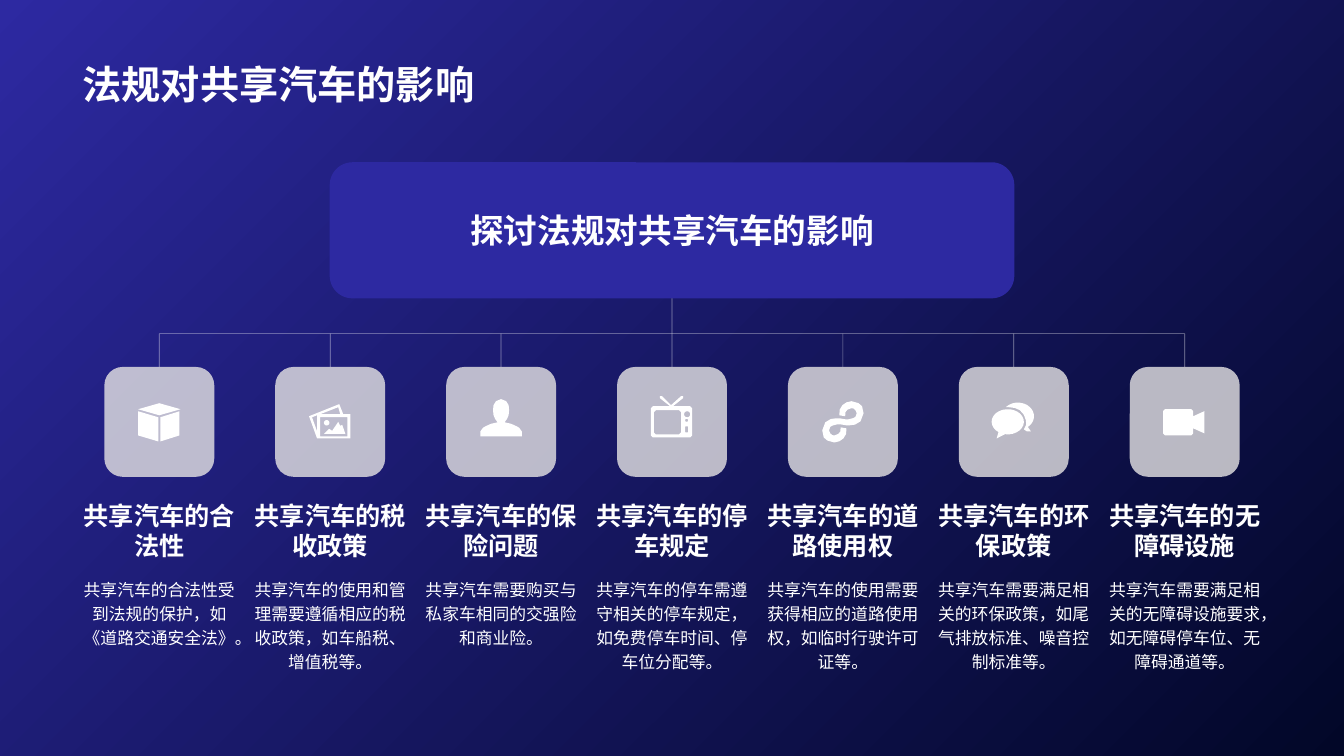
import math

import lxml.etree
import pptx
import pptx.dml.color
import pptx.enum.shapes
import pptx.enum.text
import pptx.oxml.ns
import pptx.util


def arc(x, y, radius_x, radius_y, start=0, end=360):
    """Points along an ellipse, clockwise, with angles in degrees."""
    angles = [math.radians(start + (end - start) * i / 24) for i in range(25)]
    return [(x + radius_x * math.cos(a), y + radius_y * math.sin(a)) for a in angles]


def box(left, top, right, bottom, cut=0):
    """Rectangle with its corners cut off."""
    return [(left + cut, top), (right - cut, top), (right, top + cut), (right, bottom - cut),
            (right - cut, bottom), (left + cut, bottom), (left, bottom - cut), (left, top + cut)]


TITLE = "法规对共享汽车的影响"
TOPIC = "探讨法规对共享汽车的影响"

# Icon outlines are in hundredths of an inch from the middle of the tile.
PARCEL = [
    [(20, -10.5), (20, 13.5), (1, 19.5), (1, -4.5)],
    [(-21, -10.5), (-1, -4.5), (-1, 19.5), (-21, 13.5)],
    [(0, -18.5), (21, -12.5), (0, -6.5), (-21, -12.5)],
]
PHOTOS = [
    [(9, -17.5), (13, -7.5), (20, -7.5), (20, 16.5), (-13, 16.5), (-21, -5.5)],
    [(-13, -6.5), (-18, -4.5), (-13, 9.5)],
    [(8, -14.5), (-10, -7.5), (10, -7.5)],
    box(-10, -4.5, 17, 14.5),
    [(8, 0), (10, 4), (12, 3), (15, 12), (-6, 12), (-1, 7), (2, 9)],
    arc(-3.5, 1, 2.7, 2.7),
]
HALF_PERSON = [(-20.5, 14.5), (-20.5, 9.5), (-18, 6), (-15.5, 4.5), (-10, 2), (-3.5, 0.5),
               (-6, -3), (-7.5, -6.5), (-8, -11.5), (-7.5, -16.5), (-5, -20.5), (0, -22.5)]
PERSON = [HALF_PERSON + [(-x, y) for x, y in reversed(HALF_PERSON)]]
TELEVISION = [
    [(18, -15.5), (1, -15.5), (11, -23.5), (11, -25.5), (9, -25.5), (-1, -16.5),
     (-10, -25.5), (-12, -25.5), (-12, -23.5), (-2, -15.5), (-19, -15.5), (-21, -13.5),
     (-21, 13.5), (-19, 15.5), (18, 15.5), (20, 13.5), (20, -13.5)],
    box(-18, -11.5, 9, 12.5, 2),
    box(13, 4.5, 16, 10.5, 0.5),
    arc(14.5, -1.5, 1.5, 1.5),
    arc(15, -7.5, 3, 3),
]
HALF_LOOP = [(-8.5, 20.5), (-15.5, 18.5), (-19, 15.5), (-20.5, 8.5), (-17.5, 0.5), (-12, -2.8),
             (-6.5, -3.5), (-3.5, -3.5), (2.5, -2.5), (5.5, -2.5), (10.5, -3.8), (12.5, -5),
             (13.8, -8.5), (12.5, -11.5), (10.5, -13.2), (8.5, -13.5), (4.5, -12),
             (2.5, -9.5), (2.3, -5.5), (-3.5, -6.5), (-3.2, -12), (-0.5, -16.5), (3.5, -19.3)]
LOOP = [HALF_LOOP + [(-x, -y) for x, y in HALF_LOOP]]
CHAT = [
    arc(-6, 0, 16, 12.5, 125, 460) + [(-17, 16.5)],
    arc(4, -5.5, 16, 13.5, 222, 412)
    + [(17, 9.5), (13, 9.5), (10, 7.5), (12.3, 3), (12, -1.5), (10, -7), (6, -11.5),
       (1, -13.7), (-5, -14.5)],
]
CAMERA = [[(8.5, -5.5), (8.5, -10.5), (6.5, -12.5), (-19.5, -12.5), (-21.5, -10.5),
           (-21.5, 11.5), (-19.5, 13.5), (6.5, 13.5), (8.5, 11.5), (8.5, 6.5),
           (19.5, 11.5), (19.5, -10.5)]]

ASPECTS = [
    (PARCEL, "共享汽车的合法性", "共享汽车的合法性受到法规的保护，如《道路交通安全法》。"),
    (PHOTOS, "共享汽车的税收政策", "共享汽车的使用和管理需要遵循相应的税收政策，如车船税、增值税等。"),
    (PERSON, "共享汽车的保险问题", "共享汽车需要购买与私家车相同的交强险和商业险。"),
    (TELEVISION, "共享汽车的停车规定", "共享汽车的停车需遵守相关的停车规定，如免费停车时间、停车位分配等。"),
    (LOOP, "共享汽车的道路使用权", "共享汽车的使用需要获得相应的道路使用权，如临时行驶许可证等。"),
    (CHAT, "共享汽车的环保政策", "共享汽车需要满足相关的环保政策，如尾气排放标准、噪音控制标准等。"),
    (CAMERA, "共享汽车的无障碍设施", "共享汽车需要满足相关的无障碍设施要求，如无障碍停车位、无障碍通道等。"),
]

THEME = {
    "indigo": "2D29A1", "night": "020728", "white": "FFFFFF", "tile": "E6E4E4",
    "font": "Arial", "title": 28, "topic": 24, "heading": 18, "body": 12,
}
WIDTH, HEIGHT = 13.33, 7.5
MIDDLE = WIDTH / 2
PITCH = 10.17 / (len(ASPECTS) - 1)
TOPIC_TOP, TOPIC_WIDTH, TOPIC_HEIGHT = 1.61, 6.79, 1.35
BUS_TOP, TILE_TOP, TILE = 3.31, 3.64, 1.09
TEXT_WIDTH = 1.72

Inches = pptx.util.Inches
Align = pptx.enum.text.PP_ALIGN
Anchor = pptx.enum.text.MSO_ANCHOR


def colour(name):
    return pptx.dml.color.RGBColor.from_string(THEME[name])


def set_opacity(shape, percent):
    for element in shape.element.iter(pptx.oxml.ns.qn("a:srgbClr")):
        alpha = lxml.etree.SubElement(element, pptx.oxml.ns.qn("a:alpha"))
        alpha.set("val", str(percent * 1000))


def paint(shape, name):
    shape.shadow.inherit = False
    shape.fill.solid()
    shape.fill.fore_color.rgb = colour(name)
    shape.line.fill.background()


def write(shape, text, size, bold=True, align=Align.CENTER, anchor=Anchor.TOP, spacing=1.0):
    frame = shape.text_frame
    frame.text = text
    paragraph = frame.paragraphs[0]
    formats = [
        (frame, {"word_wrap": True, "auto_size": pptx.enum.text.MSO_AUTO_SIZE.NONE,
                 "vertical_anchor": anchor}),
        (paragraph, {"alignment": align, "line_spacing": spacing}),
        (paragraph.runs[0].font, {"name": THEME["font"], "size": pptx.util.Pt(THEME[size]),
                                  "bold": bold}),
    ]
    for target, values in formats:
        for attribute, value in values.items():
            setattr(target, attribute, value)
    paragraph.runs[0].font.color.rgb = colour("white")


def add_rounded(slide, center, top, width, height, fill):
    shape = slide.shapes.add_shape(
        pptx.enum.shapes.MSO_SHAPE.ROUNDED_RECTANGLE,
        *map(Inches, (center - width / 2, top, width, height)))
    paint(shape, fill)
    return shape


def add_line(slide, *ends):
    line = slide.shapes.add_connector(
        pptx.enum.shapes.MSO_CONNECTOR.STRAIGHT, *map(Inches, ends))
    line.line.width = pptx.util.Pt(0.5)
    line.line.color.rgb = colour("white")
    set_opacity(line, 50)
    lxml.etree.SubElement(line.element.spPr, pptx.oxml.ns.qn("a:effectLst"))
    return line


def add_icon(slide, outlines, x, y):
    """Draw the outlines as one shape; inner outlines become holes."""
    scaled = [[(px * 10, py * 10) for px, py in outline] for outline in outlines]
    builder = slide.shapes.build_freeform(*scaled[0][0], scale=Inches(1) / 1000)
    for index, outline in enumerate(scaled):
        if index:
            builder.move_to(*outline[0])
        builder.add_line_segments(outline[1:], close=True)
    paint(builder.convert_to_shape(Inches(x), Inches(y)), "white")


def add_text(slide, center, top, height, text, size, **options):
    text_box = slide.shapes.add_textbox(
        *map(Inches, (center - TEXT_WIDTH / 2, top, TEXT_WIDTH, height)))
    write(text_box, text, size, **options)


def main():
    presentation = pptx.Presentation()
    presentation.slide_width, presentation.slide_height = Inches(WIDTH), Inches(HEIGHT)
    slide = presentation.slides.add_slide(presentation.slide_layouts.get_by_name("Title Only"))

    background = slide.background.fill
    background.gradient()
    background.gradient_angle = 315
    for stop, name in zip(background.gradient_stops, ("indigo", "night")):
        stop.color.rgb = colour(name)

    title = slide.shapes.title
    for attribute, value in {"left": 0.72, "top": 0.14, "width": 11.88, "height": 0.98}.items():
        setattr(title, attribute, Inches(value))
    write(title, TITLE, "title", align=Align.LEFT, anchor=Anchor.BOTTOM)

    topic = add_rounded(slide, MIDDLE, TOPIC_TOP, TOPIC_WIDTH, TOPIC_HEIGHT, "indigo")
    write(topic, TOPIC, "topic", anchor=Anchor.MIDDLE)

    centers = [MIDDLE + (i - (len(ASPECTS) - 1) / 2) * PITCH for i in range(len(ASPECTS))]
    add_line(slide, centers[0], BUS_TOP, centers[-1], BUS_TOP)
    trunk = add_line(slide, MIDDLE, TOPIC_TOP + TOPIC_HEIGHT, MIDDLE, BUS_TOP)
    trunk.begin_connect(topic, 2)

    for center, (icon, heading, body) in zip(centers, ASPECTS):
        tile = add_rounded(slide, center, TILE_TOP, TILE, TILE, "tile")
        set_opacity(tile, 80)
        add_line(slide, center, BUS_TOP, center, TILE_TOP).end_connect(tile, 0)
        add_icon(slide, icon, center, TILE_TOP + TILE / 2)
        add_text(slide, center, 4.91, 0.76, heading, "heading")
        add_text(slide, center, 5.66, 1.04, body, "body", bold=False, spacing=1.2)

    presentation.save("out.pptx")


if __name__ == "__main__":
    main()
